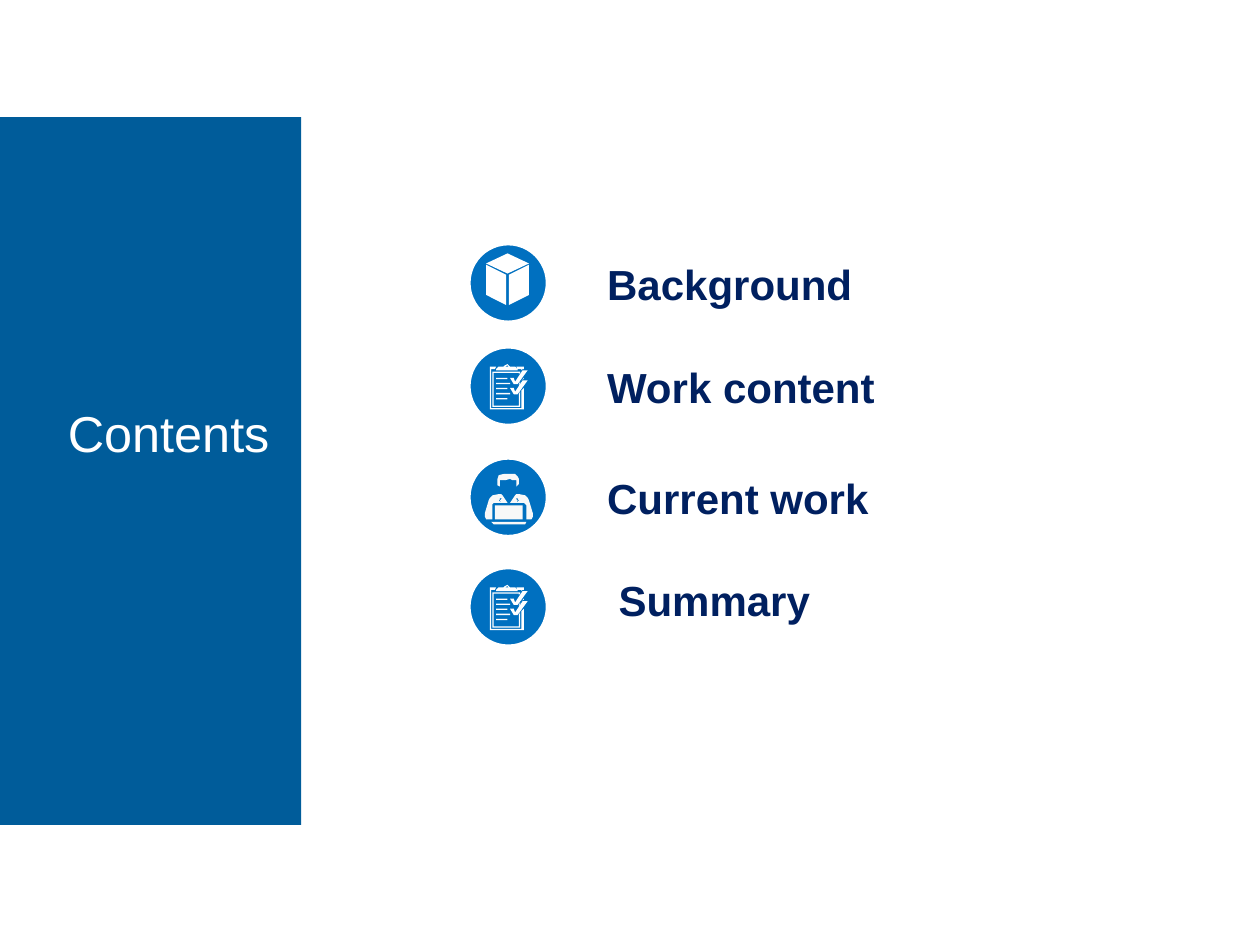
from pptx import Presentation
from pptx.dml.color import RGBColor
from pptx.enum.shapes import MSO_SHAPE as Preset
from pptx.enum.text import MSO_ANCHOR as Anchor, MSO_AUTO_SIZE as AutoSize, PP_ALIGN as Align
from pptx.util import Cm, Pt

PANEL_BLUE = RGBColor(0x00, 0x5C, 0x9A)
BADGE_BLUE = RGBColor(0x00, 0x70, 0xC0)
NAVY = RGBColor(0x00, 0x20, 0x60)
WHITE = RGBColor(0xFF, 0xFF, 0xFF)
OFF_WHITE = RGBColor(0xF8, 0xF8, 0xF8)

ICON_UNIT = Cm(2.54) / 100
BADGE_LEFT, BADGE_SIZE = 9.47, 1.55


def rectangle(left, top, right, bottom):
    """Return the corners of a rectangle."""
    return [(left, top), (right, top), (right, bottom), (left, bottom)]


def tick(drop):
    """Return the outline of a check mark moved down by drop."""
    points = [(46, 18), (38, 29), (35, 29), (32, 24), (35, 24), (36, 27), (42, 18)]
    return [(x, y + drop) for x, y in points]


CUBE = [
    [(47, 40), (31, 48), (31, 24), (47, 16)],
    [(29, 24), (13, 16), (13, 40), (29, 48)],
    [(30, 7), (13, 15), (30, 23), (47, 15)],
]
CLIPBOARD = [
    *[rectangle(21, top, right, top + 1)
      for top, right in [(24, 30), (28, 32), (32, 30), (36, 32), (40, 30)]],
    [(41, 48), (17, 48), (17, 17), (20, 17), (21, 15), (16, 15),
     (16, 49), (43, 49), (43, 32), (41, 34)],
    [(39, 46), (19, 46), (19, 20), (39, 20), (39, 21), (40, 20), (40, 19),
     (18, 19), (18, 47), (40, 47), (40, 35), (39, 37)],
    [(21, 17), (23, 15), (27, 15), (28, 13.5), (29.5, 13), (31, 13.5),
     (32, 15), (36, 15), (38, 17), (38, 18), (21, 18)],
    [(28, 15), (29.5, 14), (31, 15)],
    [(42, 17), (43, 17), (43, 15), (37, 15), (38, 17), (41, 17), (41, 18)],
    [(41, 26), (42, 25), (43, 25), (43, 24)],
    [(40, 27), (39, 29), (39, 30), (40, 28)],
    tick(0),
    tick(8),
]
WORKER = [
    [(18, 48), (16, 48), (13, 47.5), (11.5, 46), (12, 43), (15, 33), (16, 31),
     (18, 29), (23, 28), (23, 32), (24, 32), (23, 33), (25, 35), (19, 35), (18, 36)],
    rectangle(20, 37, 42, 48),
    [(24, 22), (23.5, 19), (24, 17), (28, 17), (32, 16), (34, 17), (37, 17),
     (37, 22), (39, 20), (39, 16), (38, 14), (36, 12), (32, 12), (27, 11.5),
     (23, 13), (22, 16), (22, 21)],
    [(17, 50), (45, 50), (44, 52), (19, 52)],
    [(47, 33), (50, 43), (50.5, 46), (49, 47.5), (46, 48), (45, 48), (45, 37),
     (43, 35), (37, 35), (39, 33), (38, 32), (39, 32), (39, 28), (44, 29), (46, 31)],
    [(37, 35), (38, 33), (37, 32), (37, 31), (39, 32), (39, 28), (37, 28),
     (36, 29), (32, 35)],
    [(23, 28), (23, 32), (25, 31), (25, 32), (24, 33), (25, 35), (30, 35),
     (26, 29), (25, 28)],
]

ITEMS = [
    ("Background", 11.99, 5.08, 5.51, 4.93, CUBE, WHITE),
    ("Work content", 11.99, 7.16, 5.97, 7.01, CLIPBOARD, WHITE),
    ("Current work", 11.99, 9.4, 5.84, 9.25, WORKER, OFF_WHITE),
    ("Summary", 12.22, 11.46, 4.42, 11.46, CLIPBOARD, WHITE),
]


class Sketch:
    """Hold the text style and the current slide."""

    def __init__(self, page, font="Arial"):
        self.page = page
        self.shapes = page.shapes
        self.font = font

    def place(self, box, left, top, width, height):
        box.left, box.top, box.width, box.height = map(Cm, (left, top, width, height))

    def paint(self, shape, fill, line=None):
        shape.shadow.inherit = False
        shape.fill.solid()
        shape.fill.fore_color.rgb = fill
        if line is None:
            shape.line.fill.background()
        else:
            shape.line.color.rgb = line
            shape.line.width = Pt(1)

    def shape(self, preset, left, top, width, height, fill, line=None):
        shape = self.shapes.add_shape(preset, *map(Cm, (left, top, width, height)))
        self.paint(shape, fill, line)

    def icon(self, left, top, outlines, fill):
        first, *others = outlines
        builder = self.shapes.build_freeform(*first[0], scale=ICON_UNIT)
        builder.add_line_segments(first[1:])
        for outline in others:
            builder.move_to(*outline[0])
            builder.add_line_segments(outline[1:])
        self.paint(builder.convert_to_shape(Cm(left), Cm(top)), fill)

    def set_text(self, box, text, size, color, bold, align):
        frame = box.text_frame
        frame.word_wrap = False
        frame.auto_size = AutoSize.SHAPE_TO_FIT_TEXT
        para = frame.paragraphs[0]
        para.alignment = align
        span = para.add_run()
        span.text = text
        span.font.name = self.font
        span.font.size = Pt(size)
        span.font.bold = bold
        span.font.color.rgb = color

    def title(self, text, left, top, width, height):
        box = self.shapes.title
        self.shapes.element.append(box.element)
        self.place(box, left, top, width, height)
        box.text_frame.vertical_anchor = Anchor.TOP
        self.set_text(box, text, 28.8, WHITE, False, Align.CENTER)

    def label(self, text, left, top, width, height):
        box = self.shapes.add_textbox(*map(Cm, (left, top, width, height)))
        self.set_text(box, text, 24, NAVY, True, Align.LEFT)


def main():
    """Build the contents slide."""
    deck = Presentation()
    deck.slide_width, deck.slide_height = Cm(25.4), Cm(19.05)
    sketch = Sketch(deck.slides.add_slide(deck.slide_layouts[5]))
    sketch.shape(Preset.RECTANGLE, 0, 2.36, 6.07, 14.27, PANEL_BLUE)
    sketch.title("Contents", 1.09, 7.98, 4.62, 1.5)
    for text, left, top, width, badge_top, outlines, fill in ITEMS:
        sketch.shape(Preset.OVAL, BADGE_LEFT, badge_top, BADGE_SIZE, BADGE_SIZE,
                     BADGE_BLUE, WHITE)
        sketch.icon(BADGE_LEFT, badge_top, outlines, fill)
        sketch.label(text, left, top, width, 1.27)
    deck.save("out.pptx")


if __name__ == "__main__":
    main()
